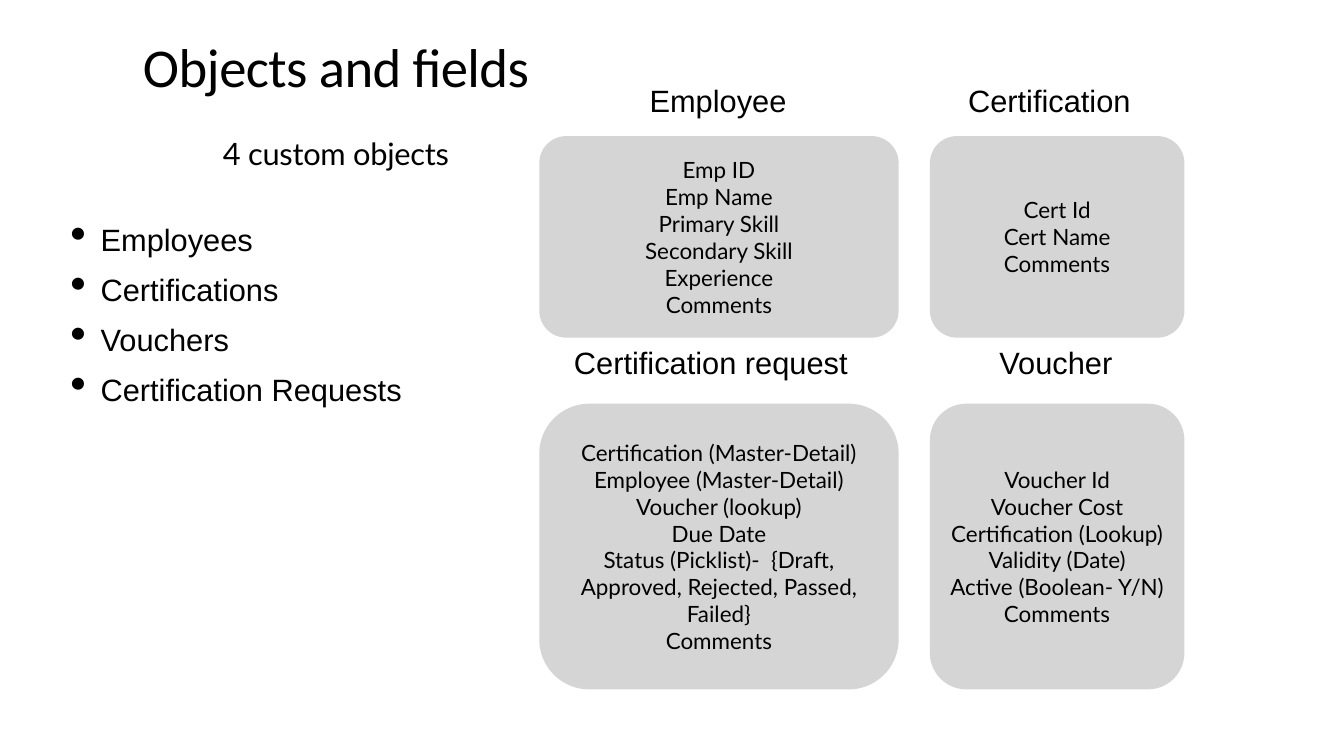
from lxml.etree import SubElement
from pptx import Presentation
from pptx.dml.color import RGBColor
from pptx.enum.shapes import MSO_SHAPE
from pptx.enum.text import MSO_ANCHOR, PP_ALIGN
from pptx.oxml.ns import qn
from pptx.util import Pt

COLORS = {"text": "000000", "card": "D5D5D5"}
TITLE = "Objects and fields"
SUBTITLE = "4 custom objects"
OBJECTS = ["Employees", "Certifications", "Vouchers", "Certification Requests"]

CARDS = [
    {"column": 0, "row": 0, "heading": "Employee", "heading_width": 207.4, "corner": 0.134,
     "fields": ["Emp ID", "Emp Name", "Primary Skill", "Secondary Skill", "Experience",
                "Comments"]},
    {"column": 1, "row": 0, "heading": "Certification", "heading_width": 263.5, "corner": 0.134,
     "fields": ["Cert Id", "Cert Name", "Comments"]},
    {"column": 0, "row": 1, "heading": "Certification request", "heading_width": 423.4,
     "corner": 0.175,
     "fields": ["Certification (Master-Detail)", "Employee (Master-Detail)",
                "Voucher (lookup)", "Due Date",
                "Status (Picklist)-  {Draft, Approved, Rejected, Passed, Failed}",
                "Comments"]},
    {"column": 1, "row": 1, "heading": "Voucher", "heading_width": 174.2, "corner": 0.143,
     "fields": ["Voucher Id", "Voucher Cost", "Certification (Lookup)", "Validity (Date)",
                "Active (Boolean- Y/N)", "Comments"]},
]
COLUMNS = [(770.4, 513.4), (1328.4, 363.6)]
ROWS = [(194.4, 288), (576.7, 408.2)]
LEFT, WIDTH = 96, 768
HEADING_HEIGHT, HEADING_RISE = 73.4, 76.3
INSET, INDENT = 4.5, 43.2


def write(shape, lines, font, size, align=PP_ALIGN.LEFT, line_spacing=None, before=None,
          tracking=None, bulleted=False, wrap=True, anchor=MSO_ANCHOR.TOP):
    frame = shape.text_frame
    frame.word_wrap = wrap
    frame.vertical_anchor = anchor
    frame.margin_left = frame.margin_right = Pt(INSET)
    frame.margin_top = frame.margin_bottom = Pt(INSET)
    for index, line in enumerate(lines):
        paragraph = frame.add_paragraph() if index else frame.paragraphs[0]
        paragraph.alignment = align
        if line_spacing:
            paragraph.line_spacing = line_spacing
        if before:
            paragraph.space_before = Pt(before)
        if bulleted:
            properties = paragraph._p.get_or_add_pPr()
            properties.set("marL", str(Pt(INDENT)))
            properties.set("indent", str(-Pt(INDENT)))
            SubElement(properties, qn("a:buSzPct")).set("val", "150000")
            SubElement(properties, qn("a:buChar")).set("char", "•")
        run = paragraph.add_run()
        run.text = line
        run.font.name = font
        run.font.size = Pt(size)
        run.font.color.rgb = RGBColor.from_string(COLORS["text"])
        if tracking:
            run._r.get_or_add_rPr().set("spc", str(round(tracking * 100)))


def add_text(slide, left, top, width, height, lines, font, size, **style):
    box = slide.shapes.add_textbox(Pt(left), Pt(top), Pt(width), Pt(height))
    write(box, lines, font, size, **style)


def add_card(slide, card):
    left, width = COLUMNS[card["column"]]
    top, height = ROWS[card["row"]]
    panel = slide.shapes.add_shape(MSO_SHAPE.ROUNDED_RECTANGLE,
                                   Pt(left), Pt(top), Pt(width), Pt(height))
    panel.adjustments[0] = card["corner"]
    panel.shadow.inherit = False
    panel.fill.solid()
    panel.fill.fore_color.rgb = RGBColor.from_string(COLORS["card"])
    panel.line.fill.background()
    write(panel, card["fields"], "Lato", 32, align=PP_ALIGN.CENTER, anchor=MSO_ANCHOR.MIDDLE)
    heading_left = left + (width - card["heading_width"]) / 2
    add_text(slide, heading_left, top - HEADING_RISE if card["row"] == 0 else top - 84.2,
             card["heading_width"], HEADING_HEIGHT, [card["heading"]], "Arial", 44,
             line_spacing=0.9, before=24, wrap=False)


def main():
    deck = Presentation()
    deck.slide_width, deck.slide_height = Pt(1920), Pt(1080)
    slide = deck.slides.add_slide(deck.slide_layouts[6])
    add_text(slide, LEFT, 61.2, WIDTH, 126, [TITLE], "Calibri", 78.1,
             align=PP_ALIGN.CENTER, line_spacing=0.8, tracking=-0.8)
    add_text(slide, LEFT, 188, WIDTH, 65.5, [SUBTITLE], "Lato", 44,
             align=PP_ALIGN.CENTER, tracking=-0.4)
    add_text(slide, LEFT, 316.8, WIDTH, 660, OBJECTS, "Arial", 44,
             line_spacing=0.9, before=24, bulleted=True)
    for card in CARDS:
        add_card(slide, card)
    deck.save("out.pptx")


if __name__ == "__main__":
    main()
